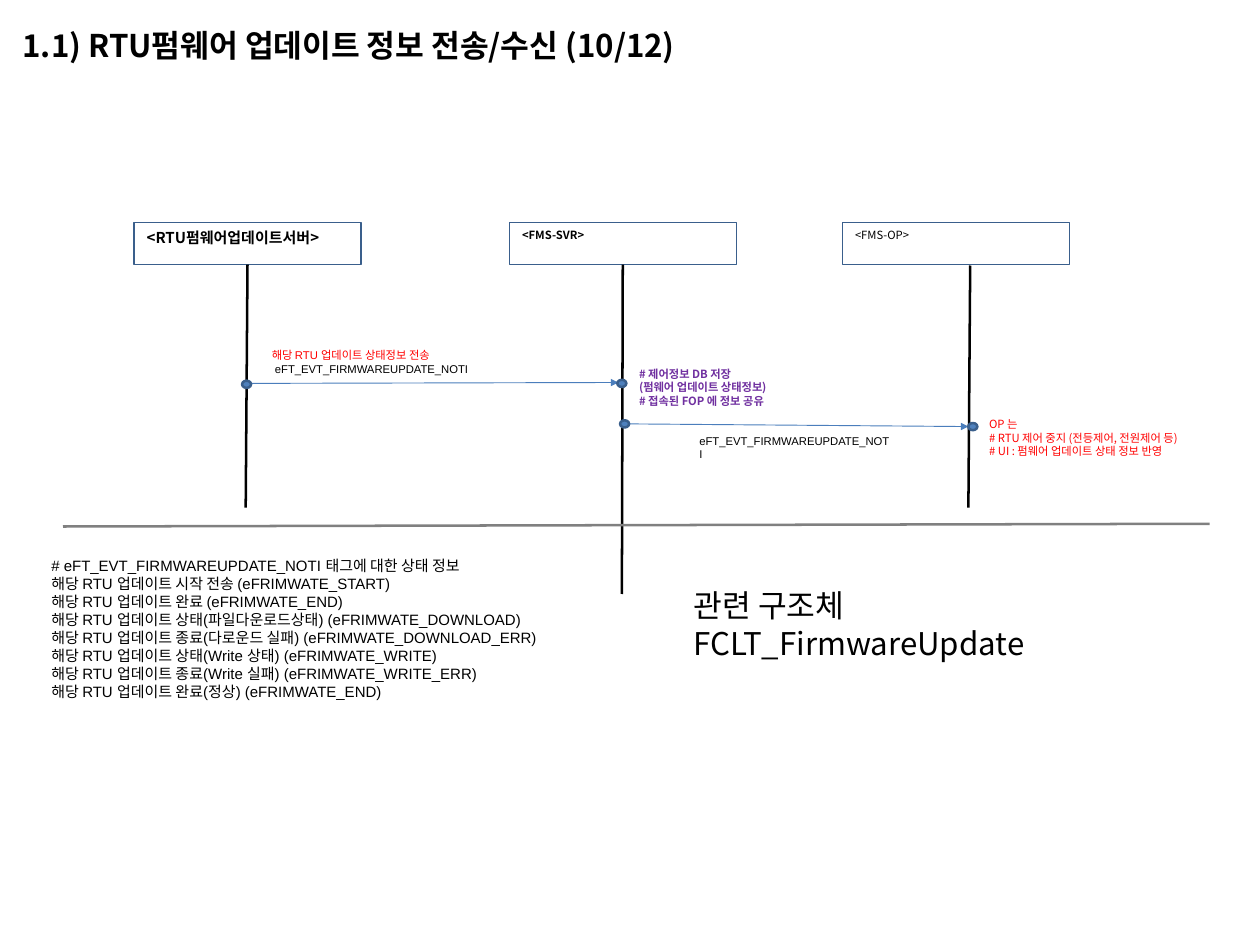
"""Build the RTU firmware update sequence slide."""
from dataclasses import dataclass

from lxml.etree import SubElement
from pptx import Presentation
from pptx.dml.color import RGBColor as RGB
from pptx.enum.shapes import MSO_CONNECTOR as CONN, MSO_SHAPE as SHAPE
from pptx.enum.text import MSO_ANCHOR as ANCHOR, MSO_AUTO_SIZE as AUTO, PP_ALIGN as ALIGN
from pptx.oxml.ns import qn
from pptx.util import Inches, Pt


@dataclass(frozen=True)
class Theme:
    """Colours, fonts and type sizes of the slide."""
    black: str = "000000"
    red: str = "FF0000"
    purple: str = "7030A0"
    grey: str = "808080"
    arrow: str = "4B7EBC"
    border: str = "3A5F8C"
    dot: str = "4F81BD"
    sans: str = "Arial"
    korean: str = "Noto Sans CJK KR"
    small: int = 9
    body: int = 12
    large: int = 25


T = Theme()
PADDED = (0.14, 0.07)
PLAIN = (0.1, 0.05)
HEAD_W, HEAD_H, HEAD_Y = 2.52, 0.47, 2.47
DOT_W, DOT_H = 0.1, 0.08
EVENT = "eFT_EVT_FIRMWAREUPDATE_NOTI"
HEADS = [
    (1.49, "<RTU펌웨어업데이트서버>", T.body, True),
    (5.66, "<FMS-SVR>", T.small, True),
    (9.36, "<FMS-OP>", T.small, False),
]
LIFELINES = [
    ((2.75, 2.94), (2.73, 5.64)),
    ((6.92, 2.94), (6.91, 6.6)),
    ((10.78, 2.95), (10.76, 5.64)),
]
MESSAGES = [((2.79, 4.26), (6.87, 4.25)), ((6.99, 4.71), (10.76, 4.74))]
DOTS = [(2.69, 4.23), (6.86, 4.22), (6.89, 4.67), (10.76, 4.7)]
STATES = [
    "시작 전송 (eFRIMWATE_START)",
    "완료 (eFRIMWATE_END)",
    "상태(파일다운로드상태) (eFRIMWATE_DOWNLOAD)",
    "종료(다로운드 실패) (eFRIMWATE_DOWNLOAD_ERR)",
    "상태(Write 상태) (eFRIMWATE_WRITE)",
    "종료(Write 실패) (eFRIMWATE_WRITE_ERR)",
    "완료(정상) (eFRIMWATE_END)",
]


def set_attrs(obj, **values):
    """Set each named attribute on an object."""
    for name, value in values.items():
        setattr(obj, name, value)


def write(sp, lines, size, color=T.black, font=T.korean, bold=False, pad=PADDED):
    """Write one paragraph per line; a line is a string or (text, colour) runs."""
    tf = sp.text_frame
    x, y = map(Inches, pad)
    set_attrs(tf, word_wrap=True, auto_size=AUTO.NONE, vertical_anchor=ANCHOR.TOP,
              margin_left=x, margin_right=x, margin_top=y, margin_bottom=y)
    for i, line in enumerate(lines):
        p = tf.add_paragraph() if i else tf.paragraphs[0]
        p.alignment = ALIGN.LEFT
        for text, run_color in [(line, color)] if isinstance(line, str) else line:
            r = p.add_run()
            r.text = text
            set_attrs(r.font, size=Pt(size), bold=bold, name=font)
            r.font.color.rgb = RGB.from_string(run_color)
            SubElement(r.font._element, qn("a:ea")).set("typeface", T.korean)


def add_title(s, text):
    """Place and format the title placeholder."""
    sp = s.shapes.title
    set_attrs(sp, left=Inches(0.15), top=Inches(0.24),
              width=Inches(10.95), height=Inches(0.52))
    write(sp, [text], T.large, bold=True, pad=PLAIN)


def add_text(s, box, lines, size, **style):
    """Add a text box."""
    write(s.shapes.add_textbox(*map(Inches, box)), lines, size, **style)


def add_outlined(s, kind, box, width, fill=None):
    """Add a preset shape with a border and an optional fill."""
    sp = s.shapes.add_shape(kind, *map(Inches, box))
    sp.shadow.inherit = False
    if fill:
        sp.fill.solid()
        sp.fill.fore_color.rgb = RGB.from_string(fill)
    else:
        sp.fill.background()
    sp.line.color.rgb = RGB.from_string(T.border)
    sp.line.width = Pt(width)
    return sp


def add_head(s, x, text, size, bold):
    """Add the head box of a participant."""
    sp = add_outlined(s, SHAPE.RECTANGLE, (x, HEAD_Y, HEAD_W, HEAD_H), 1)
    write(sp, [text], size, bold=bold)
    return sp


def add_line(s, start, end, color, width, arrow=False):
    """Add a straight line, optionally with an arrowhead at its end."""
    line = s.shapes.add_connector(CONN.STRAIGHT, *map(Inches, start + end))
    line.line.color.rgb = RGB.from_string(color)
    line.line.width = Pt(width)
    if arrow:
        SubElement(line.line._get_or_add_ln(), qn("a:tailEnd")).set("type", "triangle")
    SubElement(line._element.spPr, qn("a:effectLst"))
    return line


def main():
    """Build and save the slide."""
    prs = Presentation()
    set_attrs(prs, slide_width=Inches(14), slide_height=Inches(10.5))
    s = prs.slides.add_slide(prs.slide_layouts[5])
    add_title(s, "1.1) RTU펌웨어 업데이트 정보 전송/수신 (10/12)")

    heads = [add_head(s, *head) for head in HEADS]
    lifelines = [add_line(s, *ends, T.black, 2) for ends in LIFELINES]
    for head, lifeline in zip(heads[:2], lifelines):
        lifeline.begin_connect(head, 2)
    for ends in MESSAGES:
        add_line(s, *ends, T.arrow, 0.75, arrow=True)
    for x, y in DOTS:
        add_outlined(s, SHAPE.OVAL, (x, y, DOT_W, DOT_H), 2, T.dot)
    add_line(s, (0.7, 5.85), (13.44, 5.82), T.grey, 2)

    add_text(s, (2.88, 3.8, 3.56, 0.33),
             ["해당 RTU 업데이트 상태정보 전송", [(" ", T.red), (EVENT, T.black)]],
             T.small, color=T.red, font=T.sans)
    add_text(s, (6.96, 4.01, 2.02, 0.72),
             ["# 제어정보 DB 저장", "(펌웨어 업데이트 상태정보)", "# 접속된 FOP 에 정보 공유"],
             T.small, color=T.purple, bold=True)
    add_text(s, (7.63, 4.75, 2.4, 0.33), [EVENT], T.small, font=T.sans)
    add_text(s, (10.85, 4.57, 2.85, 0.69),
             ["OP 는", "# RTU 제어 중지 (전등제어, 전원제어 등)",
              "# UI : 펌웨어 업데이트 상태 정보 반영"], T.small, color=T.red)
    add_text(s, (0.43, 6.11, 6.01, 2.64),
             [f"# {EVENT} 태그에 대한 상태 정보"]
             + [f"해당 RTU 업데이트 {state}" for state in STATES],
             T.body, font=T.sans)
    add_text(s, (7.61, 6.47, 4.03, 0.94), ["관련 구조체", "FCLT_FirmwareUpdate"],
             T.large, pad=PLAIN)
    prs.save("out.pptx")


if __name__ == "__main__":
    main()
